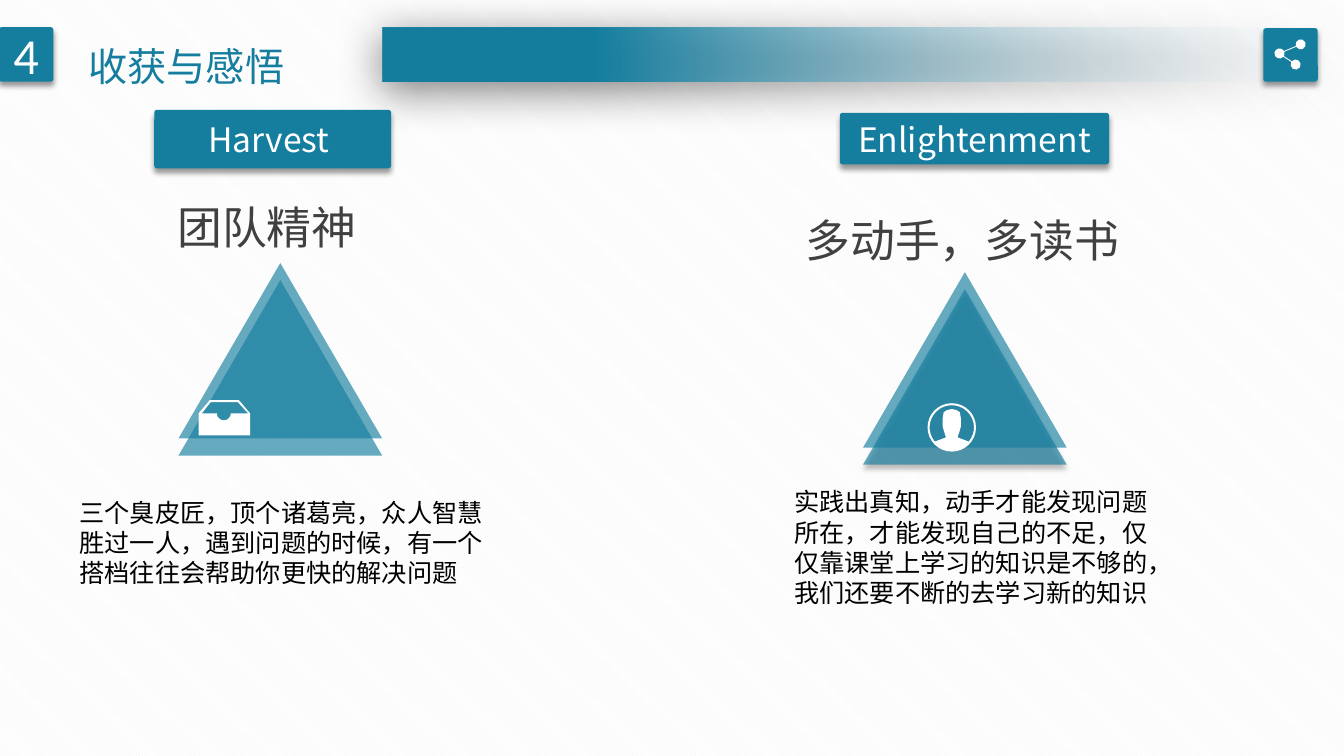
import math

from lxml import etree
from pptx import Presentation
from pptx import util as u
from pptx.dml.color import RGBColor
from pptx.enum import dml, shapes, text
from pptx.oxml.ns import qn

TEAL = "157E9F"
WHITE = "FFFFFF"
SANS = "Noto Sans CJK SC"
SANS_JP = "Noto Sans CJK JP"
SOFT_SHADOW = (40, 4, 3, 90)


def color(value):
    return RGBColor.from_string(value)


def add_alpha(color_element, percent):
    etree.SubElement(color_element, qn("a:alpha"), val=str(percent * 1000))


def set_shadow(shape, opacity, blur, distance, angle):
    effects = shape._element.spPr.find(qn("a:effectLst"))
    shadow = etree.SubElement(
        effects, qn("a:outerShdw"), blurRad=str(u.Pt(blur)), dist=str(u.Pt(distance)),
        dir=str(angle * 60000), algn="ctr", rotWithShape="0")
    add_alpha(etree.SubElement(shadow, qn("a:srgbClr"), val="000000"), opacity)


def style(shape, fill, opacity=100, shadow=None):
    shape.shadow.inherit = False
    shape.line.fill.background()
    shape.fill.solid()
    shape.fill.fore_color.rgb = color(fill)
    if opacity < 100:
        add_alpha(shape._element.spPr.find(".//" + qn("a:srgbClr")), opacity)
    if shadow:
        set_shadow(shape, *shadow)
    return shape


def write(shape, words, size, ink, font=SANS, east_font=SANS, align=text.PP_ALIGN.LEFT,
          anchor=text.MSO_ANCHOR.TOP, wrap=True, spacing=1.0):
    frame = shape.text_frame
    frame.word_wrap = wrap
    frame.auto_size = text.MSO_AUTO_SIZE.NONE
    frame.vertical_anchor = anchor
    paragraph = frame.paragraphs[0]
    paragraph.alignment = align
    paragraph.line_spacing = spacing
    run = paragraph.add_run()
    run.text = words
    run.font.size = u.Pt(size)
    run.font.name = font
    run.font.color.rgb = color(ink)
    etree.SubElement(run.font._element, qn("a:ea"), typeface=east_font)


def add_box(slide, place, words="", size=24, font=SANS):
    box = slide.shapes.add_shape(shapes.MSO_SHAPE.ROUNDED_RECTANGLE, *map(u.Inches, place))
    box.adjustments[0] = 0.05
    style(box, TEAL, shadow=SOFT_SHADOW)
    if words:
        write(box, words, size, WHITE, font=font, align=text.PP_ALIGN.CENTER,
              anchor=text.MSO_ANCHOR.MIDDLE)


def add_text(slide, place, words, size, ink, **options):
    write(slide.shapes.add_textbox(*map(u.Inches, place)), words, size, ink, **options)


def add_fading_bar(slide):
    bar = slide.shapes.add_shape(
        shapes.MSO_SHAPE.RECTANGLE, *map(u.Inches, (3.8, 0.27, 9.53, 0.54)))
    style(bar, TEAL, shadow=(50, 31, 6, 97))
    bar.fill.gradient()
    bar.fill.gradient_angle = 180
    for stop, position, value in zip(bar.fill.gradient_stops, (0, 0.78), ("F7FAFD", TEAL)):
        stop.position = position
        stop.color.rgb = color(value)
    add_alpha(bar._element.spPr.find(".//" + qn("a:srgbClr")), 0)


def add_triangles(slide, left, top, shadow=None):
    group = slide.shapes.add_group_shape()
    for offset, effect in ((0.17, shadow), (0, None)):
        triangle = group.shapes.add_shape(
            shapes.MSO_SHAPE.ISOSCELES_TRIANGLE,
            *map(u.Inches, (left, top + offset, 2.02, 1.74)))
        style(triangle, TEAL, opacity=65, shadow=effect)


def straight(*points):
    return [(point, point, point) for point in points]


def arc(center, radius, start, end):
    count = math.ceil(abs(end - start) / 90)
    step = math.radians((end - start) / count)
    reach = 4 / 3 * math.tan(step / 4)

    def at(angle, pull):
        return (center[0] + radius * (math.cos(angle) - pull * math.sin(angle)),
                center[1] + radius * (math.sin(angle) + pull * math.cos(angle)))

    angles = [math.radians(start) + step * index for index in range(count + 1)]
    curves = [(at(a, reach), at(b, -reach), at(b, 0)) for a, b in zip(angles, angles[1:])]
    return straight(at(angles[0], 0)) + curves


def add_icon(slide, *contours):
    builder = None
    for contour in contours:
        points = [(u.Inches(x), u.Inches(y)) for curve in contour for x, y in curve]
        if builder:
            builder.move_to(*points[0])
        else:
            builder = slide.shapes.build_freeform(*points[0])
        builder.add_line_segments(points[3:], close=True)
    icon = style(builder.convert_to_shape(), WHITE)
    lines = list(icon._element.spPr.iter(qn("a:lnTo")))
    for first, second, third in zip(lines[::3], lines[1::3], lines[2::3]):
        curve = etree.Element(qn("a:cubicBezTo"))
        first.addprevious(curve)
        for line in (first, second, third):
            curve.append(line[0])
            line.getparent().remove(line)


def add_share_icon(slide):
    left, upper, lower, radius = (12.69, 0.53), (12.9, 0.44), (12.85, 0.64), 0.05
    add_icon(slide, arc(upper, radius, 161, 511) + arc(left, radius, -19, 31)
             + arc(lower, radius, 221, 571) + arc(left, radius, 41, 331))


def add_inbox_icon(slide):
    case = straight((2.37, 3.97), (2.08, 3.97), (1.97, 4.1), (1.97, 4.32), (2.48, 4.32),
                    (2.48, 4.1))
    opening = straight((2.09, 3.99), (2.36, 3.99), (2.46, 4.1))
    notch = arc((2.22, 4.1), 0.07, 0, 180)
    add_icon(slide, case, opening + notch + straight((2, 4.1)))


def add_person_icon(slide):
    center = (9.44, 4.24)
    profile = [(0.06, 4.34), (0.06, 4.33), (0.07, 4.3), (0.08, 4.27), (0.09, 4.23),
               (0.09, 4.15), (0.08, 4.09), (0.05, 4.07), (0.01, 4.06)]
    right = [(center[0] + x, y) for x, y in profile]
    left = [(center[0] - x, y) for x, y in reversed(profile)]
    add_icon(slide, arc(center, 0.24, 0, 360),
             arc(center, 0.22, 140, 400) + straight(*right, *left))


def add_title(slide, words):
    title = slide.shapes.title
    title.left, title.top, title.width, title.height = map(u.Inches, (0.69, 0.14, 2.36, 0.81))
    write(title, words, 28, TEAL, wrap=False, spacing=1.5)


def main():
    presentation = Presentation()
    presentation.slide_width = u.Inches(13.33)
    presentation.slide_height = u.Inches(7.5)
    slide = presentation.slides.add_slide(presentation.slide_layouts[5])
    backdrop = slide.background.fill
    backdrop.patterned()
    backdrop.pattern = dml.MSO_PATTERN.DARK_DOWNWARD_DIAGONAL
    backdrop.fore_color.rgb = color("F2F2F2")
    backdrop.back_color.rgb = color(WHITE)

    add_fading_bar(slide)
    add_box(slide, (-0.01, 0.27, 0.54, 0.54), "4", size=36, font="Calibri")
    add_box(slide, (12.53, 0.28, 0.54, 0.53))
    add_share_icon(slide)
    add_title(slide, " 收获与感悟")

    add_triangles(slide, 1.77, 2.61)
    add_triangles(slide, 8.56, 2.7, shadow=SOFT_SHADOW)
    add_inbox_icon(slide)
    add_person_icon(slide)

    columns = [
        ("Harvest ", (1.53, 1.09, 2.35, 0.58),
         "团队精神", (1.66, 1.93, 2.08, 0.64),
         "三个臭皮匠，顶个诸葛亮，众人智慧胜过一人，遇到问题的时候，"
         "有一个搭档往往会帮助你更快的解决问题", (0.69, 4.88, 4.29, 1.01)),
        ("Enlightenment", (8.33, 1.12, 2.67, 0.51),
         " 多动手，多读书", (7.79, 2.06, 3.56, 0.64),
         "实践出真知，动手才能发现问题所在，才能发现自己的不足，"
         "仅仅靠课堂上学习的知识是不够的，我们还要不断的去学习新的知识",
         (7.78, 4.78, 3.78, 1.31)),
    ]
    for label, label_place, heading, heading_place, body, body_place in columns:
        add_box(slide, label_place, label)
        add_text(slide, heading_place, heading, 32, "404040", font=SANS_JP, east_font=SANS_JP)
        add_text(slide, body_place, body, 18, "000000", font="Calibri")

    presentation.save("out.pptx")


if __name__ == "__main__":
    main()
